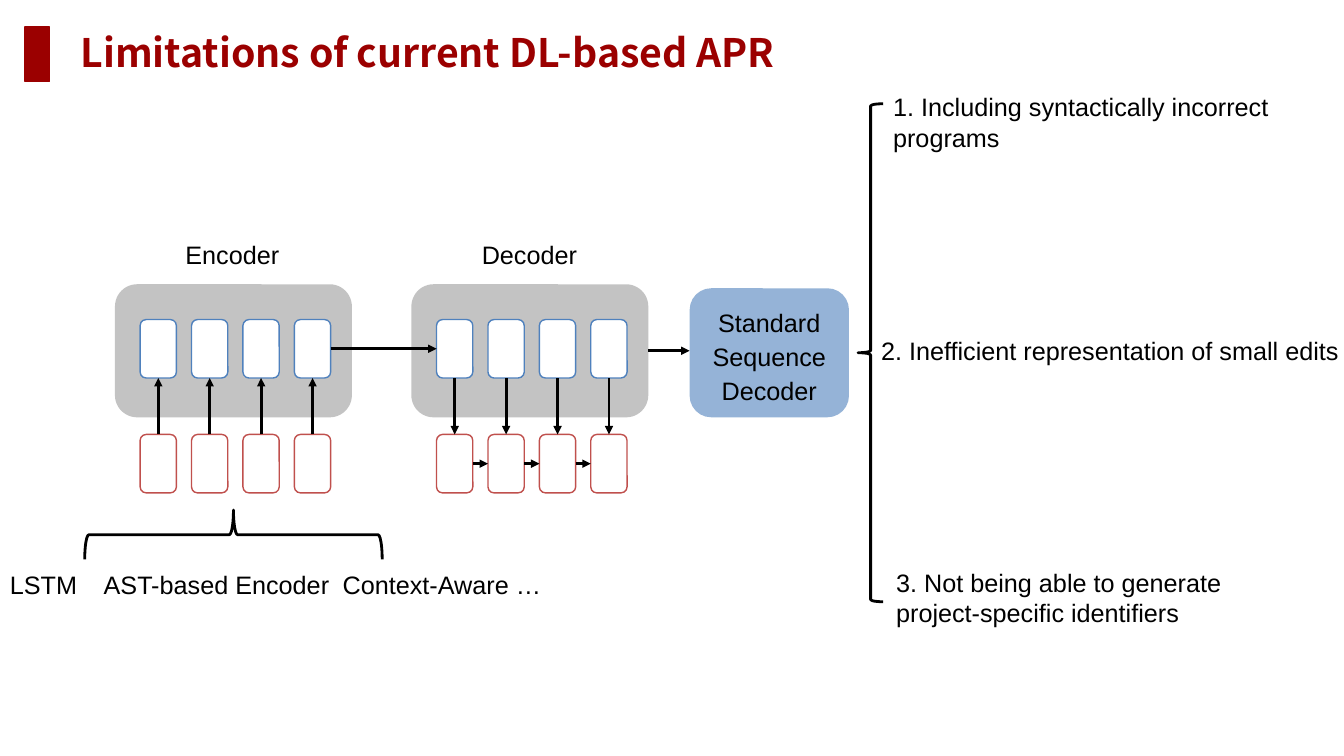
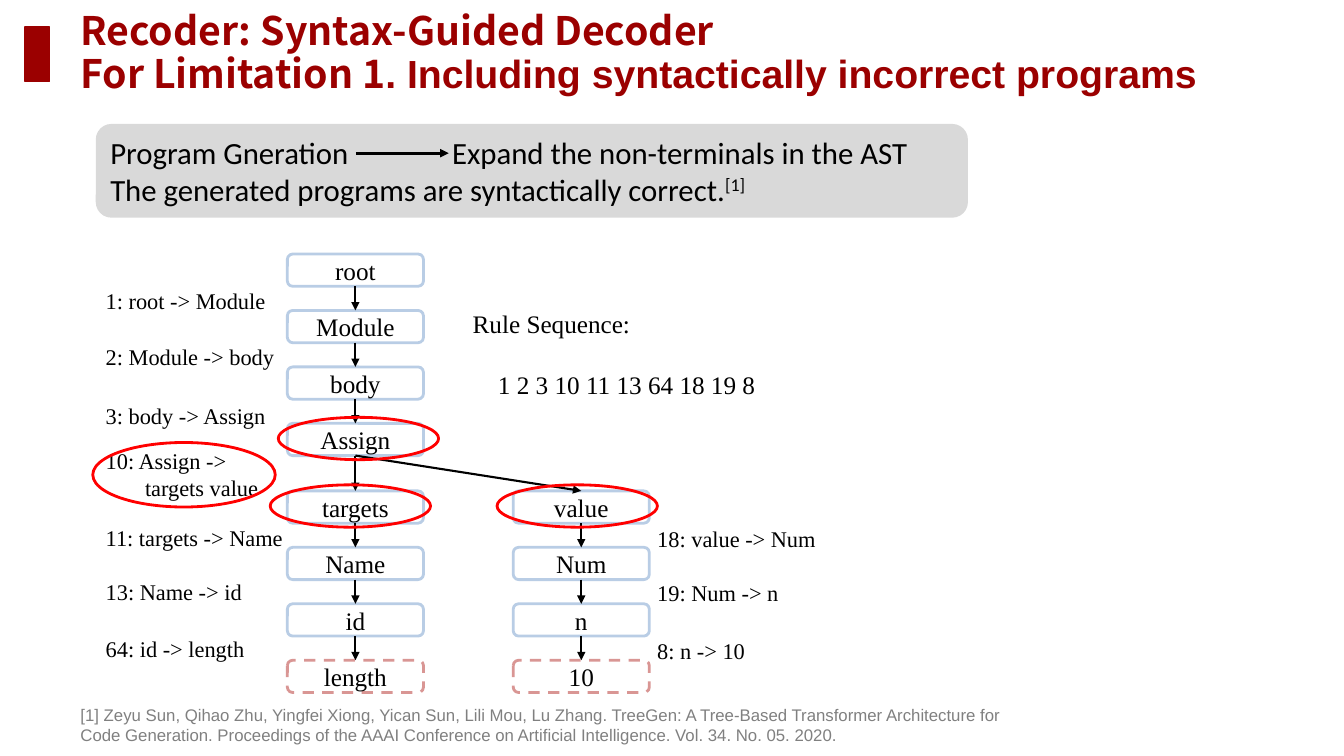
from lxml import etree
from pptx import Presentation
from pptx.dml.color import RGBColor
from pptx.enum.dml import MSO_LINE
from pptx.enum.shapes import MSO_CONNECTOR, MSO_SHAPE
from pptx.enum.text import MSO_ANCHOR, PP_ALIGN
from pptx.oxml.ns import qn
from pptx.util import Inches, Pt

RECT, ROUND = MSO_SHAPE.RECTANGLE, MSO_SHAPE.ROUNDED_RECTANGLE
OVAL, BRACE = MSO_SHAPE.OVAL, MSO_SHAPE.LEFT_BRACE
STRAIGHT, DASH = MSO_CONNECTOR.STRAIGHT, MSO_LINE.DASH
TOP, MIDDLE = MSO_ANCHOR.TOP, MSO_ANCHOR.MIDDLE
LEFT, CENTER = PP_ALIGN.LEFT, PP_ALIGN.CENTER

DARK_RED, RED, BRICK, PINK = "9B0000", "FF0000", "C0504D", "D99694"
BLUE, PALE_BLUE, SKY = "4F81BD", "B9CDE5", "95B3D7"
BLACK, WHITE, GREY = "000000", "FFFFFF", "808080"
MID_GREY, LIGHT_GREY = "A6A6A6", "D9D9D9"
SANS, SERIF, BODY, HEAD = "Arial", "Times New Roman", "Calibri", "Noto Sans CJK SC"


def rgb(value):
    return RGBColor.from_string(value)


def add_shape(s, kind, x, y, w, h, fill=None, line=None, width=1.0):
    sp = s.shapes.add_shape(kind, Inches(x), Inches(y), Inches(w), Inches(h))
    sp.shadow.inherit = False
    if fill:
        sp.fill.solid()
        sp.fill.fore_color.rgb = rgb(fill)
    else:
        sp.fill.background()
    if line:
        sp.line.color.rgb = rgb(line)
        sp.line.width = Pt(width)
    else:
        sp.line.fill.background()
    return sp


def add_arrow(s, x1, y1, x2, y2, width=2.0):
    c = s.shapes.add_connector(STRAIGHT, Inches(x1), Inches(y1), Inches(x2), Inches(y2))
    c.line.color.rgb = rgb(BLACK)
    c.line.width = Pt(width)
    props = c.element.spPr
    etree.SubElement(props.find(qn("a:ln")), qn("a:tailEnd"), type="triangle")
    etree.SubElement(props, qn("a:effectLst"))


def write(sp, lines, size=18, font=SANS, color=BLACK, bold=False, align=LEFT,
          anchor=TOP, spacing=None, insets=(0.1, 0.05, 0.1, 0.05)):
    """Fill a shape with one paragraph per line and return its paragraphs."""
    tf = sp.text_frame
    tf.word_wrap = True
    tf.vertical_anchor = anchor
    tf.margin_left, tf.margin_top, tf.margin_right, tf.margin_bottom = map(Inches, insets)
    for i, line in enumerate(lines):
        p = tf.paragraphs[0] if i == 0 else tf.add_paragraph()
        p.alignment = align
        if spacing:
            p.line_spacing = spacing
        p.font.size, p.font.name, p.font.bold = Pt(size), font, bold
        p.font.color.rgb = rgb(color)
        p.add_run().text = line
    return tf.paragraphs


def add_text(s, x, y, w, h, lines, **style):
    box = s.shapes.add_textbox(Inches(x), Inches(y), Inches(w), Inches(h))
    return write(box, lines, **style)


def set_tabs(p, *stops):
    """Add left tab stops, in inches from the text edge."""
    tabs = etree.Element(qn("a:tabLst"))
    for stop in stops:
        etree.SubElement(tabs, qn("a:tab"), pos=str(Inches(stop)), algn="l")
    p.font._element.getparent().find(qn("a:defRPr")).addprevious(tabs)


def set_indent(p, inches):
    p._p.get_or_add_pPr().set("marL", str(Inches(inches)))


def add_titled_slide(prs, lines):
    """Add a blank slide with the red marker and title; return slide and title."""
    s = prs.slides.add_slide(prs.slide_layouts[6])
    add_shape(s, RECT, 0.25, 0.27, 0.24, 0.54, DARK_RED, DARK_RED)
    title = add_text(s, 0.7, 0.27, 12.29, 0.54, lines, size=28, font=HEAD, color=DARK_RED,
                     bold=True, anchor=MIDDLE, spacing=0.9, insets=(0.1, 0, 0, 0))
    return s, title


def draw_coder(s, x, y, name, decodes):
    """Draw a grey block of four cells joined to four tokens below it."""
    cell_w, cell_h, cell_y, token_y = 0.36, 0.58, y + 0.35, y + 1.49
    block = add_shape(s, ROUND, x, y, 2.35, 1.32, MID_GREY)
    color = block.element.spPr.find(qn("a:solidFill")).find(qn("a:srgbClr"))
    etree.SubElement(color, qn("a:alpha"), val="67000")
    add_text(s, x + 0.6, y - 0.49, 1.75, 0.4, [name])
    for i in range(4):
        left = x + 0.25 + 0.51 * i
        mid = left + cell_w / 2
        add_shape(s, ROUND, left, cell_y, cell_w, cell_h, WHITE, BLUE)
        add_shape(s, ROUND, left, token_y, cell_w, cell_h, WHITE, BRICK)
        if decodes:
            add_arrow(s, mid, cell_y + cell_h, mid, token_y)
            if i:
                add_arrow(s, left - 0.15, token_y + 0.29, left, token_y + 0.29)
        else:
            add_arrow(s, mid, token_y, mid, cell_y + cell_h)


def draw_limits(s, x, y):
    """Draw the brace and the three limitations it opens onto."""
    add_shape(s, BRACE, x, y, 0.25, 4.94, line=BLACK, width=2)
    for dx, dy, w, lines in (
        (0.25, -0.17, 4.44, ["1. Including syntactically incorrect programs"]),
        (0.13, 2.25, 4.78, ["2. Inefficient representation of small edits"]),
        (0.28, 4.55, 4.44, ["3. Not being able to generate", "project-specific identifiers"]),
    ):
        add_text(s, x + dx, y + dy, w, 0.4 if len(lines[0]) < 1 else 0.71, lines)


def limitations_slide(prs):
    s, _ = add_titled_slide(prs, ["Limitations of current DL-based APR"])
    draw_coder(s, 1.14, 2.82, "Encoder", decodes=False)
    draw_coder(s, 4.08, 2.82, "Decoder", decodes=True)
    add_arrow(s, 3.28, 3.46, 4.33, 3.46)
    add_arrow(s, 6.43, 3.48, 6.84, 3.48)
    brace = add_shape(s, BRACE, 2.07, 3.83, 0.49, 2.95, line=BLACK, width=2)
    brace.rotation = 90
    kinds = add_text(s, 0, 5.6, 5.71, 0.4, ["LSTM\tAST-based Encoder\tContext-Aware …"])
    set_tabs(kinds[0], 0.93, 3.3)
    standard = add_shape(s, ROUND, 6.84, 2.86, 1.58, 1.28, SKY)
    write(standard, ["Standard", "Sequence", "Decoder"], align=CENTER, spacing=1.14,
          insets=(0.12, 0.08, 0.12, 0.08))
    draw_limits(s, 8.51, 1.03)


NODE_W, NODE_H, ROW_STEP = 1.35, 0.32, 0.56


def draw_chain(s, x, y, names, ends_in_leaf):
    """Draw tree nodes downwards, joined by arrows; a leaf is dashed."""
    mid = x + NODE_W / 2
    for i, name in enumerate(names):
        top = y + ROW_STEP * i
        leaf = ends_in_leaf and i == len(names) - 1
        node = add_shape(s, ROUND, x, top, NODE_W, NODE_H, WHITE,
                         PINK if leaf else PALE_BLUE, 2)
        if leaf:
            node.line.dash_style = DASH
        write(node, [name], font=SERIF, align=CENTER, anchor=MIDDLE, insets=(0, 0, 0, 0))
        if i:
            add_arrow(s, mid, top - ROW_STEP + NODE_H, mid, top, 1.5)


def draw_tree(s, x, y):
    """Draw the syntax tree: a stem that splits into two branches."""
    right, split, fork = x + 2.24, y + 2.35, y + 3 * ROW_STEP + NODE_H
    draw_chain(s, x, y, ["root", "Module", "body", "Assign"], False)
    draw_chain(s, x, split, ["targets", "Name", "id", "length"], True)
    draw_chain(s, right, split, ["value", "Num", "n", "10"], True)
    for branch in (x, right):
        add_arrow(s, x + NODE_W / 2, fork, branch + NODE_W / 2, split, 1.5)
    for left, top in ((x - 0.09, y + 1.62), (x - 0.17, y + 2.29), (right - 0.16, y + 2.29)):
        add_shape(s, OVAL, left, top, 1.59, 0.42, line=RED, width=2)


def draw_rules(s, x, rules):
    for y, text in rules:
        add_text(s, x, y, 2.05, 0.36, [text], size=16, font=SERIF)


def draw_banner(s, x, y):
    banner = add_shape(s, ROUND, x, y, 8.65, 0.93, LIGHT_GREY)
    first, second = write(banner, [
        "Program Gneration\tExpand the non-terminals in the AST",
        "The generated programs are syntactically correct.",
    ], size=22, font=BODY)
    set_tabs(first, 3.39)
    r = second.add_run()
    r.text = "[1]"
    r._r.get_or_add_rPr().set("baseline", "30000")
    add_arrow(s, x + 2.58, y + 0.29, x + 3.5, y + 0.29)


def syntax_slide(prs):
    s, title = add_titled_slide(prs, ["Recoder: Syntax-Guided Decoder", "For Limitation 1"])
    r = title[1].add_run()
    r.text = ". Including syntactically incorrect programs"
    r.font.name = SANS
    draw_banner(s, 0.95, 1.23)
    draw_tree(s, 2.85, 2.52)
    draw_rules(s, 0.95, [
        (2.8, "1: root -> Module"), (3.36, "2: Module -> body"), (3.94, "3: body -> Assign"),
        (5.15, "11: targets -> Name"), (5.69, "13: Name -> id"), (6.25, "64: id -> length"),
    ])
    draw_rules(s, 6.42, [
        (5.16, "18: value -> Num"), (5.7, "19: Num -> n"), (6.27, "8: n -> 10"),
    ])
    split_rule = add_text(s, 0.95, 4.39, 1.9, 0.64, ["10: Assign ->", "targets value"],
                          size=16, font=SERIF)
    set_indent(split_rule[1], 0.39)
    add_shape(s, OVAL, 0.92, 4.39, 1.81, 0.64, line=RED, width=2)
    sequence = add_text(s, 4.59, 3.01, 3.2, 1.01,
                        ["Rule Sequence:", "1 2 3 10 11 13 64 18 19 8"], font=SERIF)
    sequence[1].space_before = Pt(22)
    set_indent(sequence[1], 0.25)
    add_text(s, 0.7, 6.94, 9.34, 0.5, [
        "[1] Zeyu Sun, Qihao Zhu, Yingfei Xiong, Yican Sun, Lili Mou, Lu Zhang. TreeGen: "
        "A Tree-Based Transformer Architecture for Code Generation. Proceedings of the AAAI "
        "Conference on Artificial Intelligence. Vol. 34. No. 05. 2020."], size=12, color=GREY)


def main():
    prs = Presentation()
    prs.slide_width, prs.slide_height = Inches(13.33), Inches(7.5)
    limitations_slide(prs)
    syntax_slide(prs)
    prs.save("out.pptx")


if __name__ == "__main__":
    main()
